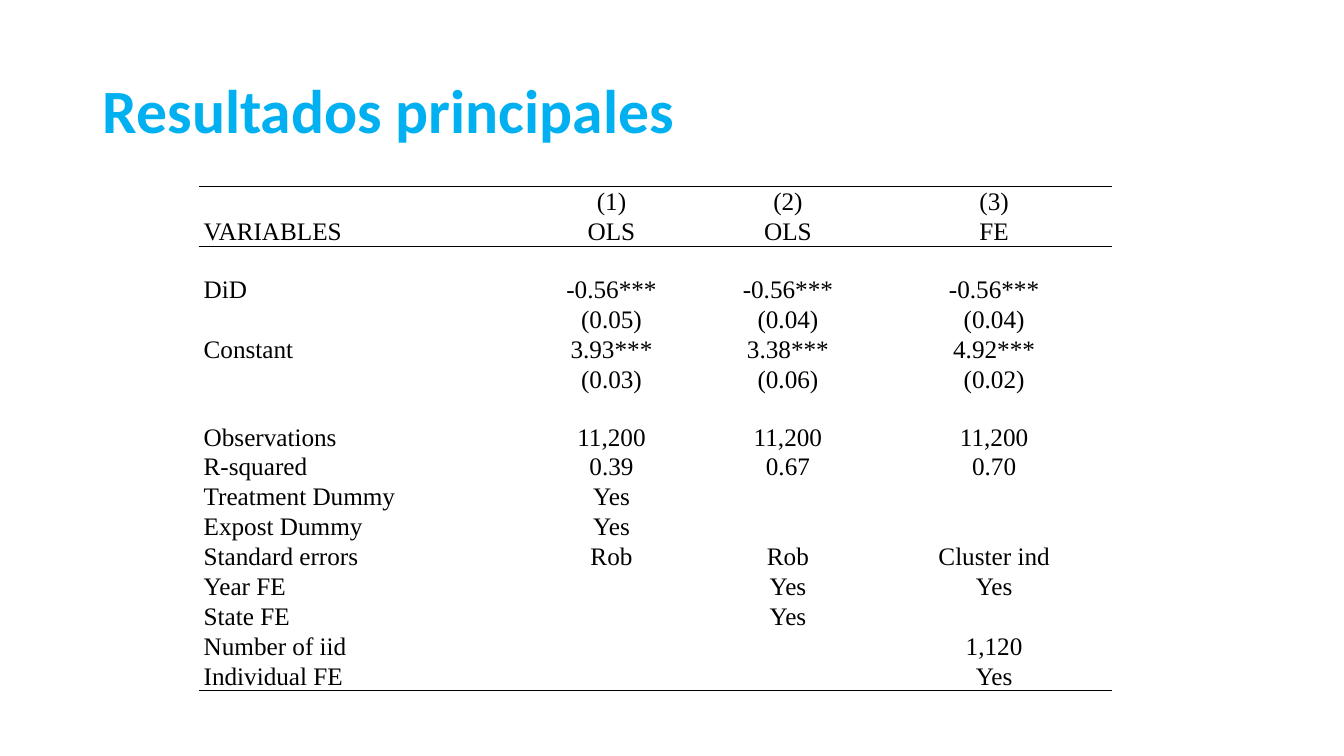
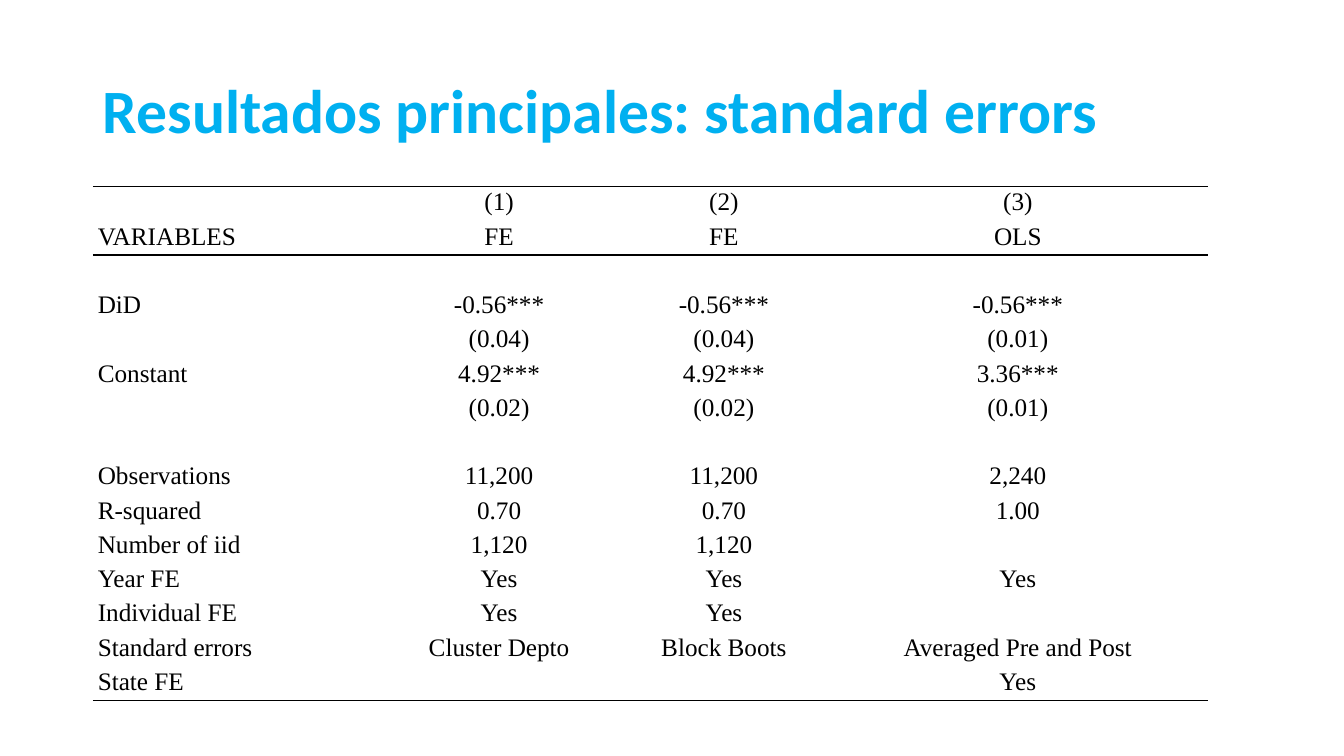
from lxml import etree
from pptx import Presentation
from pptx.dml.color import RGBColor
from pptx.enum.text import MSO_ANCHOR, PP_ALIGN
from pptx.oxml.ns import qn
from pptx.util import Inches, Pt

CYAN = RGBColor(0x00, 0xB0, 0xF0)
BLACK = RGBColor(0x00, 0x00, 0x00)
TITLE_FONT, TABLE_FONT = "Calibri", "Times New Roman"
TABLE_SIZE = Pt(18)
TABLE_TOP = 1.85
HEADER_ROW = 1
NO_STYLE = "{2D5ABB26-0587-4C30-8999-92F81FD0307C}"

# Each entry: title, table left, column widths, row height, rows of cells
SLIDES = [
    ("Resultados principales", 1.97, (3.22, 1.75, 1.75, 2.34), 0.25, [
        ("", "(1)", "(2)", "(3)"),
        ("VARIABLES", "OLS", "OLS", "FE"),
        ("", "", "", ""),
        ("DiD", "-0.56***", "-0.56***", "-0.56***"),
        ("", "(0.05)", "(0.04)", "(0.04)"),
        ("Constant", "3.93***", "3.38***", "4.92***"),
        ("", "(0.03)", "(0.06)", "(0.02)"),
        ("", "", "", ""),
        ("Observations", "11,200", "11,200", "11,200"),
        ("R-squared", "0.39", "0.67", "0.70"),
        ("Treatment Dummy", "Yes", "", ""),
        ("Expost Dummy", "Yes", "", ""),
        ("Standard errors", "Rob", "Rob", "Cluster ind"),
        ("Year FE", "", "Yes", "Yes"),
        ("State FE", "", "Yes", ""),
        ("Number of iid", "", "", "1,120"),
        ("Individual FE", "", "", "Yes"),
    ]),
    ("Resultados principales: standard errors", 0.92, (2.83, 2.4, 2.06, 3.77), 0.34, [
        ("", "(1)", "(2)", "(3)"),
        ("VARIABLES", "FE", "FE", "OLS"),
        ("", "", "", ""),
        ("DiD", "-0.56***", "-0.56***", "-0.56***"),
        ("", "(0.04)", "(0.04)", "(0.01)"),
        ("Constant", "4.92***", "4.92***", "3.36***"),
        ("", "(0.02)", "(0.02)", "(0.01)"),
        ("", "", "", ""),
        ("Observations", "11,200", "11,200", "2,240"),
        ("R-squared", "0.70", "0.70", "1.00"),
        ("Number of iid", "1,120", "1,120", ""),
        ("Year FE", "Yes", "Yes", "Yes"),
        ("Individual FE", "Yes", "Yes", ""),
        ("Standard errors", "Cluster Depto", "Block Boots", "Averaged Pre and Post"),
        ("State FE", "", "", "Yes"),
    ]),
]


def add_rule(cell, side):
    """Draw a 1 pt black border on one side of a cell ("T" or "B")."""
    ln = etree.Element(qn(f"a:ln{side}"), w=str(Pt(1)))
    fill = etree.SubElement(ln, qn("a:solidFill"))
    etree.SubElement(fill, qn("a:srgbClr"), val=str(BLACK))
    cell._tc.get_or_add_tcPr().insert(0, ln)


def write_cell(cell, text, align):
    """Fill one unshaded table cell with regression-table text."""
    cell.fill.background()
    cell.margin_left = cell.margin_right = Inches(0.05)
    cell.margin_top = cell.margin_bottom = 0
    p = cell.text_frame.paragraphs[0]
    p.alignment, p.line_spacing, p.space_after = align, 1.07, Pt(8)
    if text:
        r = p.add_run()
        r.text = text
        r.font.name, r.font.size = TABLE_FONT, TABLE_SIZE
        r.font.color.rgb = BLACK
    else:
        end = etree.SubElement(p._p, qn("a:endParaRPr"), sz=str(int(TABLE_SIZE.pt * 100)))
        etree.SubElement(end, qn("a:latin"), typeface=TABLE_FONT)


prs = Presentation()
prs.slide_width, prs.slide_height = Inches(13.33), Inches(7.5)

for heading, left, widths, row_height, rows in SLIDES:
    s = prs.slides.add_slide(prs.slide_layouts[5])

    title = s.shapes.title
    title.left, title.top = Inches(0.92), Inches(0.4)
    title.width, title.height = Inches(11.5), Inches(1.45)
    tf = title.text_frame
    tf.vertical_anchor = MSO_ANCHOR.MIDDLE
    p = tf.paragraphs[0]
    p.alignment, p.line_spacing = PP_ALIGN.LEFT, 0.9
    r = p.add_run()
    r.text = heading
    r.font.name, r.font.size, r.font.bold = TITLE_FONT, Pt(44), True
    r.font.color.rgb = CYAN

    frame = s.shapes.add_table(
        len(rows), len(widths), Inches(left), Inches(TABLE_TOP),
        Inches(sum(widths)), Inches(row_height * len(rows)))
    table = frame.table
    table.first_row = table.horz_banding = False
    table._tbl.tblPr.find(qn("a:tableStyleId")).text = NO_STYLE
    for column, width in zip(table.columns, widths):
        column.width = Inches(width)

    for i, row in enumerate(rows):
        table.rows[i].height = Inches(row_height)
        for j, text in enumerate(row):
            cell = table.cell(i, j)
            write_cell(cell, text, PP_ALIGN.CENTER if j else PP_ALIGN.LEFT)
            if i == 0:
                add_rule(cell, "T")
            elif i in (HEADER_ROW, len(rows) - 1):
                add_rule(cell, "B")

prs.save("out.pptx")
